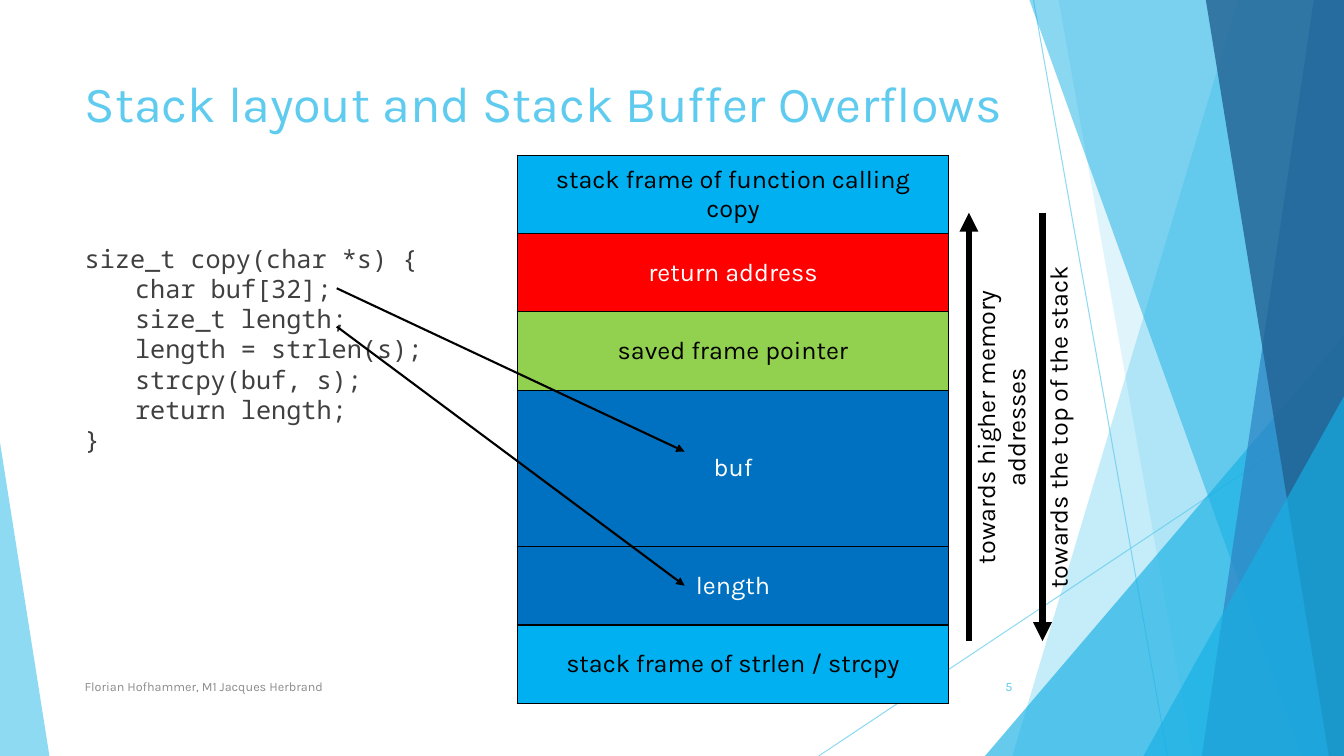
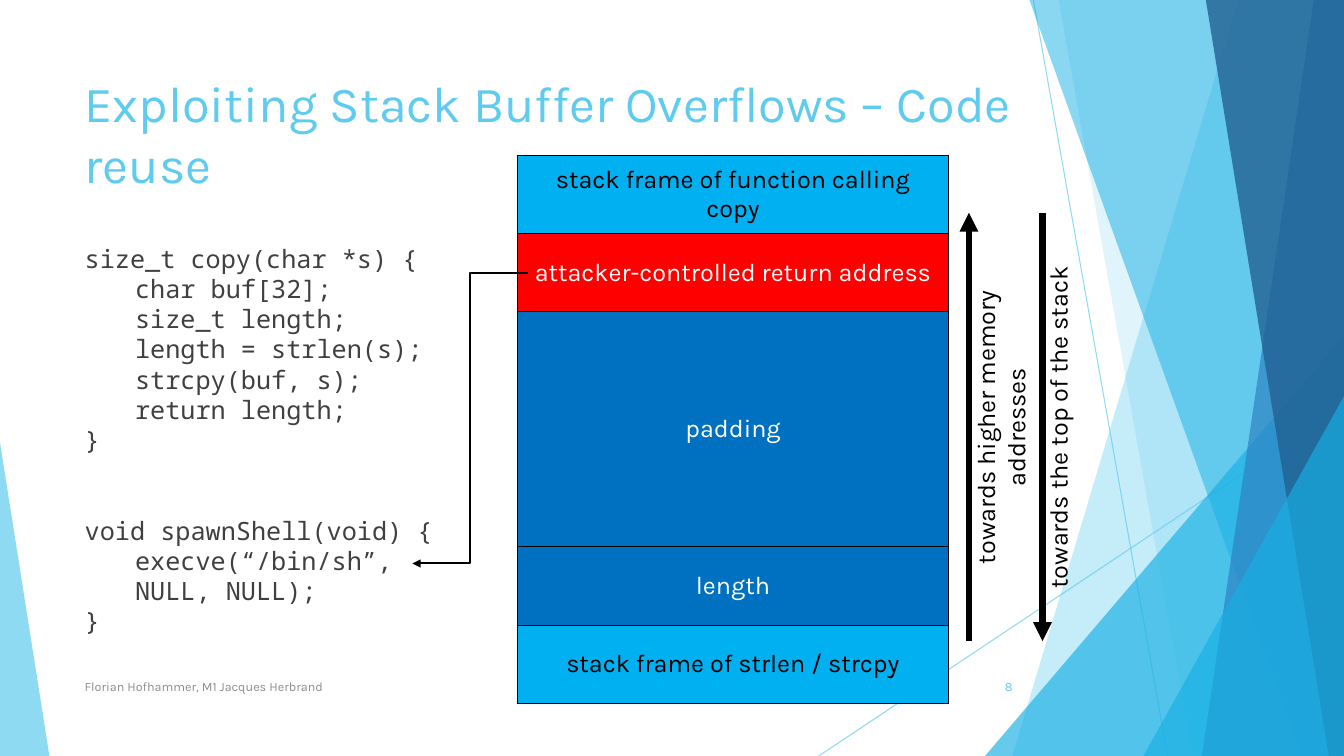
from lxml import etree
from pptx import Presentation
from pptx.dml.color import RGBColor
from pptx.enum.shapes import MSO_CONNECTOR, MSO_SHAPE
from pptx.enum.text import MSO_ANCHOR, MSO_AUTO_SIZE, PP_ALIGN
from pptx.oxml.ns import qn
from pptx.util import Inches, Pt

STRAIGHT, ELBOW = MSO_CONNECTOR.STRAIGHT, MSO_CONNECTOR.ELBOW
TRIANGLE = MSO_SHAPE.ISOSCELES_TRIANGLE
TOP, MIDDLE = MSO_ANCHOR.TOP, MSO_ANCHOR.MIDDLE
LEFT, CENTER, RIGHT = PP_ALIGN.LEFT, PP_ALIGN.CENTER, PP_ALIGN.RIGHT
NO_FIT, GROW = MSO_AUTO_SIZE.NONE, MSO_AUTO_SIZE.SHAPE_TO_FIT_TEXT
SANS, MONO = "Karla", "Noto Sans Mono"
SKY, CYAN, STEEL, NAVY = "5FCBEF", "17B0E4", "2E83C3", "226292"
BLACK, WHITE, GREY, DARK = "000000", "FFFFFF", "8C8C8C", "404040"
FRAME, RED, GREEN, BLUE = "00B0F0", "FF0000", "92D050", "0070C0"
WIDTH, HEIGHT = 13.33, 7.5
LINE_PITCH = 21.6


def add_text(p, text, size, color, align=LEFT, font=SANS):
    p.alignment = align
    r = p.add_run()
    r.text = text
    r.font.size = Pt(size)
    r.font.name = font
    r.font.color.rgb = RGBColor.from_string(color)


def add_line(s, kind, points, color, width, arrow=True):
    line = s.shapes.add_connector(kind, *[Inches(v) for v in points])
    line.line.color.rgb = RGBColor.from_string(color)
    line.line.width = Pt(width)
    if arrow:
        etree.SubElement(line.line._get_or_add_ln(), qn("a:tailEnd"), type="triangle")
    etree.SubElement(line.element.spPr, qn("a:effectLst"))
    return line


prs = Presentation()
prs.slide_width, prs.slide_height = Inches(WIDTH), Inches(HEIGHT)
layout = prs.slide_layouts[1]
for ph in list(layout.placeholders)[2:]:
    ph.element.getparent().remove(ph.element)

slides = [prs.slides.add_slide(layout) for _ in range(2)]
s = slides[0]
decor = []
for points in [(10.25, 0, 11.58, HEIGHT), (WIDTH, 4.03, 8.12, HEIGHT)]:
    decor.append((add_line(s, STRAIGHT, points, SKY, 0.75, arrow=False), 70))

bands = [
    (SKY, 36, None, (12.28, 10.04)),
    (SKY, 20, None, (10.5, 11.83)),
    (CYAN, 66, 1, (9.77, 3.33, 3.56, 4.17)),
    (CYAN, 50, None, (10.21, 12.91)),
    (STEEL, 70, None, (13.03, 11.92)),
    (NAVY, 80, None, (11.96, 13.18)),
    (CYAN, 66, 1, (11.34, 3.93, 1.99, 3.57)),
    (SKY, 70, 0, (0, 4.39, 0.49, 3.11)),
]
for color, opacity, apex, place in bands:
    if apex is None:
        top_x, bottom_x = place
        outline = s.shapes.build_freeform(Inches(top_x), 0, scale=1.0)
        corners = [(WIDTH, 0), (WIDTH, HEIGHT), (bottom_x, HEIGHT)]
        outline.add_line_segments([(Inches(x), Inches(y)) for x, y in corners])
        sp = outline.convert_to_shape()
    else:
        sp = s.shapes.add_shape(TRIANGLE, *[Inches(v) for v in place])
        sp.adjustments[0] = apex
    sp.shadow.inherit = False
    sp.fill.solid()
    sp.fill.fore_color.rgb = RGBColor.from_string(color)
    sp.line.fill.background()
    decor.append((sp, opacity))

for i, (sp, opacity) in enumerate(decor):
    clr = sp.element.spPr.find(".//" + qn("a:srgbClr"))
    etree.SubElement(clr, qn("a:alpha"), val=str(opacity * 1000))
    layout.shapes.element.insert(2 + i, sp.element)

copy_code = [
    (0, "size_t copy(char *s) {"),
    (1, "char buf[32];"),
    (1, "size_t length;"),
    (1, "length = strlen(s);"),
    (1, "strcpy(buf, s);"),
    (1, "return length;"),
    (0, "}"),
]
shell_code = [
    (0, "void spawnShell(void) {"),
    (1, "execve(“/bin/sh”,"),
    (1, "NULL, NULL);"),
    (0, "}"),
]
caller = ("stack frame of function calling copy", 1, FRAME, BLACK)
bottom_rows = [
    ("length", 1, BLUE, WHITE),
    ("stack frame of strlen / strcpy", 1, FRAME, BLACK),
]
contents = [
    {
        "title": "Stack layout and Stack Buffer Overflows",
        "number": "5",
        "code": [copy_code],
        "stack": [
            caller,
            ("return address", 1, RED, WHITE),
            ("saved frame pointer", 1, GREEN, BLACK),
            ("buf", 2, BLUE, WHITE),
            *bottom_rows,
        ],
        "pointers": [
            (STRAIGHT, (3.34, 2.86, 6.79, 4.48)),
            (STRAIGHT, (3.34, 3.24, 6.79, 5.81)),
        ],
    },
    {
        "title": "Exploiting Stack Buffer Overflows – Code reuse",
        "number": "8",
        "code": [copy_code, shell_code],
        "stack": [
            caller,
            ("attacker-controlled return address", 1, RED, WHITE),
            ("padding", 3, BLUE, WHITE),
            *bottom_rows,
        ],
        "pointers": [(ELBOW, (5.24, 2.71, 4.09, 5.59))],
    },
]

for s, content in zip(slides, contents):
    title, body = s.placeholders
    for ph, top, height in [(title, 0.67, 1.44), (body, 2.36, 4.24)]:
        ph.left, ph.top = Inches(0.74), Inches(top)
        ph.width, ph.height = Inches(9.4), Inches(height)
        ph.text_frame.vertical_anchor = TOP
        ph.text_frame.auto_size = NO_FIT
    add_text(title.text_frame.paragraphs[0], content["title"], 36, SKY)

    tf = body.text_frame
    p = tf.paragraphs[0]
    for b, block in enumerate(content["code"]):
        for i, (indent, code) in enumerate(block):
            if b or i:
                p = tf.add_paragraph()
            add_text(p, code, 18, DARK, font=MONO)
            p.line_spacing = Pt(LINE_PITCH)
            p.space_before = Pt(2 * LINE_PITCH if b and not i else 0)
            pPr = p._p.get_or_add_pPr()
            pPr.set("marL", str(Inches(0.5 * indent)))
            pPr.set("indent", "0")
            etree.SubElement(pPr, qn("a:buNone"))

    footers = [
        (0.74, 6.89, "Florian Hofhammer, M1 Jacques Herbrand", GREY, LEFT),
        (9.39, 0.75, content["number"], SKY, RIGHT),
    ]
    for left, width, text, color, align in footers:
        box = s.shapes.add_textbox(Inches(left), Inches(6.61), Inches(width), Inches(0.4))
        tf = box.text_frame
        tf.word_wrap = True
        tf.vertical_anchor = MIDDLE
        add_text(tf.paragraphs[0], text, 9, color, align)

    stack = content["stack"]
    unit = 5.44 / sum(row[1] for row in stack)
    table = s.shapes.add_table(
        len(stack), 1, Inches(5.13), Inches(1.54), Inches(4.28), Inches(5.44)
    ).table
    table.first_row = table.horz_banding = False
    for i, (text, units, fill, color) in enumerate(stack):
        table.rows[i].height = Inches(unit * units)
        cell = table.cell(i, 0)
        cell.vertical_anchor = MIDDLE
        cell.fill.solid()
        cell.fill.fore_color.rgb = RGBColor.from_string(fill)
        add_text(cell.text_frame.paragraphs[0], text, 18, color, CENTER)
        tcPr = cell._tc.get_or_add_tcPr()
        for n, side in enumerate(["a:lnL", "a:lnR", "a:lnT", "a:lnB"]):
            ln = etree.Element(qn(side), w=str(Pt(1)))
            solid = etree.SubElement(ln, qn("a:solidFill"))
            etree.SubElement(solid, qn("a:srgbClr"), val=BLACK)
            tcPr.insert(n, ln)

    for kind, points in content["pointers"]:
        add_line(s, kind, points, BLACK, 1.5)

    directions = [
        (9.61, 6.36, 2.11, 7.74, "towards higher memory addresses"),
        (10.34, 2.11, 6.36, 8.46, "towards the top of the stack"),
    ]
    for x, start, end, left, text in directions:
        add_line(s, STRAIGHT, (x, start, x, end), BLACK, 4.5)
        box = s.shapes.add_textbox(Inches(left), Inches(4.04), Inches(4.06), Inches(0.4))
        box.rotation = 270
        tf = box.text_frame
        tf.word_wrap = True
        tf.auto_size = GROW
        add_text(tf.paragraphs[0], text, 18, BLACK, CENTER)

prs.save("out.pptx")
